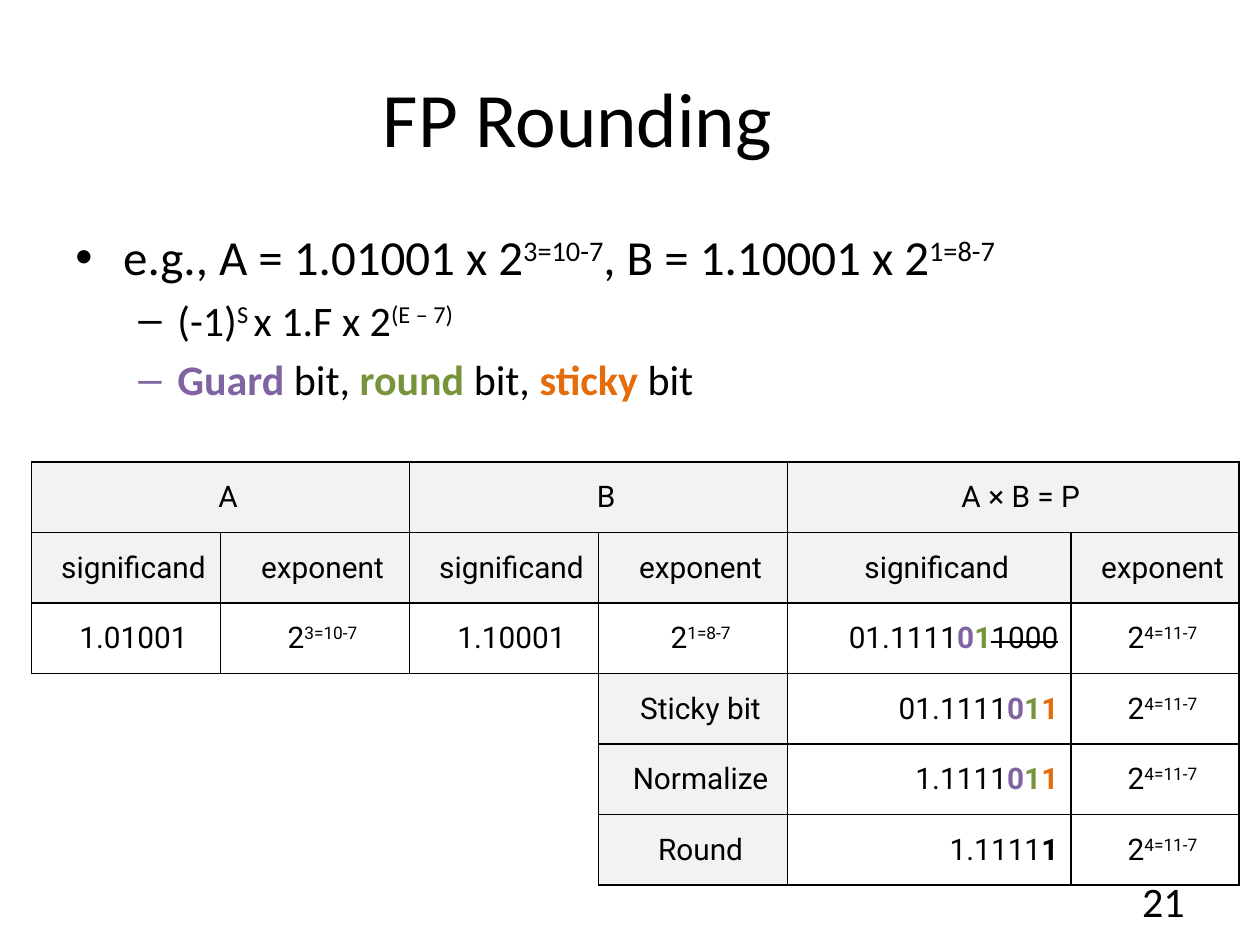
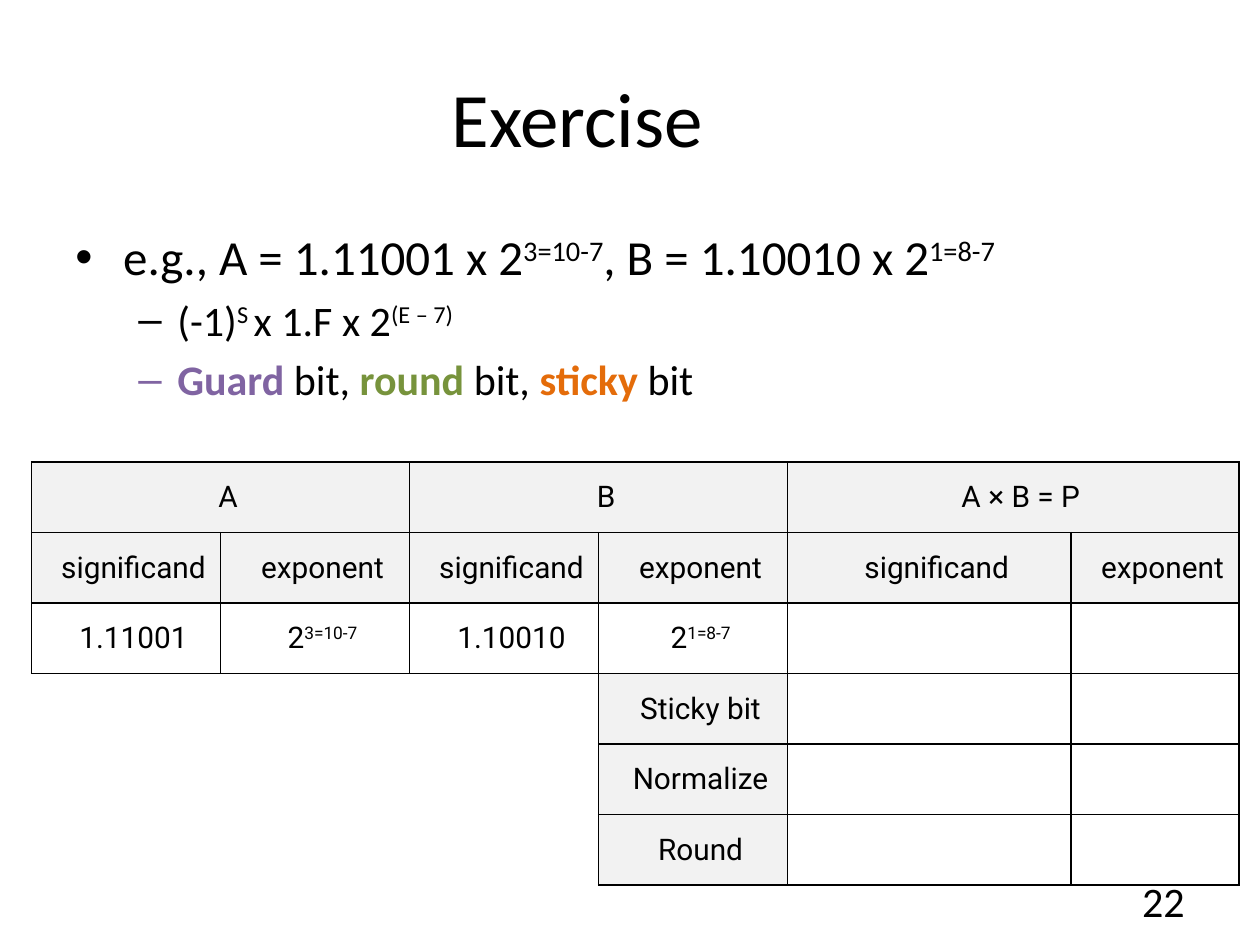
import pptx
import pptx.dml.color
import pptx.enum.text
import pptx.oxml.ns
import pptx.util
from lxml import etree

UNIT = pptx.util.Inches(1) // 12  # the slide is a grid of 120 columns by 90 rows
COLORS = {
    "text": "000000",
    "header": "F2F2F2",
    "plain": "FFFFFF",
    "guard": "8064A2",
    "round": "77933C",
    "sticky": "E46C0A",
}
TEXT_FONT, TABLE_FONT = "Calibri", "Roboto"
ALIGN = {
    "left": pptx.enum.text.PP_ALIGN.LEFT,
    "center": pptx.enum.text.PP_ALIGN.CENTER,
    "right": pptx.enum.text.PP_ALIGN.RIGHT,
}
MIDDLE = pptx.enum.text.MSO_ANCHOR.MIDDLE

COLUMNS = [18, 18, 18, 18, 27, 16]
ROW_HEIGHT = 6.72
HEADINGS = ["A", "B", "A × B = P"]
STEPS = ["Sticky bit", "Normalize", "Round"]
FIRST_STEP_ROW, STEP_COL = 3, 4 - 1

GUARD_0, ROUND_1, STICKY_1 = ("0", "guard"), ("1", "round"), ("1", "sticky")
PRODUCTS = [
    ["01.1111", GUARD_0, ROUND_1, ("1000", "strike")],
    ["01.1111", GUARD_0, ROUND_1, STICKY_1],
    ["1.1111", GUARD_0, ROUND_1, STICKY_1],
    ["1.1111", ("1", "bold")],
]


def rgb(name):
    return pptx.dml.color.RGBColor.from_string(COLORS[name])


def power(exponent):
    return ["2", (exponent, "sup")]


def sub(parent, tag, **attrs):
    return etree.SubElement(parent, pptx.oxml.ns.qn(tag), attrs)


def write(p, runs, size, font=TEXT_FONT, align="left"):
    """Fill a paragraph with plain strings and (text, style) pairs."""
    p.alignment = ALIGN[align]
    for run in [runs] if isinstance(runs, str) else runs:
        text, style = (run, "") if isinstance(run, str) else run
        r = p.add_run()
        r.text = text
        r.font.name, r.font.size = font, pptx.util.Pt(size)
        is_bit = style in ("guard", "round", "sticky")
        r.font.bold = is_bit or style == "bold"
        r.font.color.rgb = rgb(style if is_bit else "text")
        if style == "sup":
            r._r.get_or_add_rPr().set("baseline", "30000")
        elif style == "strike":
            r._r.get_or_add_rPr().set("strike", "sngStrike")


def set_indent(p, left, hanging=0.0, bullet=None):
    pPr = p._p.get_or_add_pPr()
    pPr.set("marL", str(pptx.util.Inches(left)))
    pPr.set("indent", str(-pptx.util.Inches(hanging)))
    if bullet:
        sub(pPr, "a:buFont", typeface="Arial")
        sub(pPr, "a:buChar", char=bullet)


def add_text_frame(slide, left, top, width, height):
    box = slide.shapes.add_textbox(*(round(n * UNIT) for n in (left, top, width, height)))
    box.text_frame.word_wrap = True
    return box.text_frame


def add_line(slide, text, place, size, align):
    tf = add_text_frame(slide, *place)
    tf.vertical_anchor = MIDDLE
    write(tf.paragraphs[0], text, size, align=align)


def add_bullets(slide, a, b):
    tf = add_text_frame(slide, 6, 21, 113, 15)
    example = [f"e.g., A = {a} x 2", ("3=10-7", "sup"), f", B = {b} x 2", ("1=8-7", "sup")]
    formula = ["(-1)", ("S ", "sup"), "x 1.F x 2", ("(E – 7)", "sup")]
    bits = [("Guard", "guard"), " bit, ", ("round", "round"), " bit, ", ("sticky", "sticky"), " bit"]
    p = tf.paragraphs[0]
    set_indent(p, 0.38, 0.38, "•")
    write(p, example, 28)
    for runs in (formula, bits):
        p = tf.add_paragraph()
        set_indent(p, 0.81, 0.31, "–")
        p.space_before = pptx.util.Pt(5)
        write(p, runs, 24)


def set_borders(cell, sides):
    """Draw the given sides of a cell and clear the others."""
    tcPr = cell._tc.get_or_add_tcPr()
    for i, side in enumerate("LRTB"):
        ln = etree.Element(pptx.oxml.ns.qn(f"a:ln{side}"), w=str(pptx.util.Pt(1)))
        if side in sides:
            sub(sub(ln, "a:solidFill"), "a:srgbClr", val=COLORS["text"])
        else:
            sub(ln, "a:noFill")
        tcPr.insert(i, ln)


def cell_sides(row, col):
    if row < FIRST_STEP_ROW or col >= STEP_COL:
        return "LRTB"
    return ("T" if row == FIRST_STEP_ROW else "") + ("R" if col == STEP_COL - 1 else "")


def table_rows(a, b, products):
    rows = [
        [text for heading in HEADINGS for text in (heading, "")],
        ["significand", "exponent"] * 3,
        [a, power("3=10-7"), b, power("1=8-7")],
        *(["", "", "", step] for step in STEPS),
    ]
    for i, row in enumerate(rows[2:]):
        row += [products[i], power("4=11-7")] if products else ["", ""]
    return rows


def add_multiplication_table(slide, rows):
    place = (3, 44, sum(COLUMNS), ROW_HEIGHT * len(rows))
    frame = slide.shapes.add_table(len(rows), len(COLUMNS), *(round(n * UNIT) for n in place))
    table = frame.table
    table.first_row = table.horz_banding = False
    for column, width in zip(table.columns, COLUMNS):
        column.width = width * UNIT
    for r, row in enumerate(rows):
        table.rows[r].height = round(ROW_HEIGHT * UNIT)
        for c, runs in enumerate(row):
            cell = table.cell(r, c)
            is_header = r < 2 or (r >= FIRST_STEP_ROW and c == STEP_COL)
            cell.fill.solid()
            cell.fill.fore_color.rgb = rgb("header" if is_header else "plain")
            set_borders(cell, cell_sides(r, c))
            cell.vertical_anchor = MIDDLE
            if runs:
                p = cell.text_frame.paragraphs[0]
                set_indent(p, 0.12)
                is_product = r >= 2 and c == 4
                write(p, runs, 17, TABLE_FONT, "right" if is_product else "center")
    for c in range(0, len(COLUMNS), 2):
        table.cell(0, c).merge(table.cell(0, c + 1))


def add_rounding_slide(prs, title, number, a, b, products=None):
    slide = prs.slides.add_slide(prs.slide_layouts[6])
    add_line(slide, title, (6, 3.6, 98, 15), 44, "center")
    add_bullets(slide, a, b)
    add_line(slide, str(number), (100, 83.4, 14, 4.8), 24, "right")
    add_multiplication_table(slide, table_rows(a, b, products))


def main():
    prs = pptx.Presentation()
    prs.slide_width, prs.slide_height = 120 * UNIT, 90 * UNIT
    add_rounding_slide(prs, "FP Rounding", 21, "1.01001", "1.10001", PRODUCTS)
    add_rounding_slide(prs, "Exercise", 22, "1.11001", "1.10010")
    prs.save("out.pptx")


if __name__ == "__main__":
    main()
